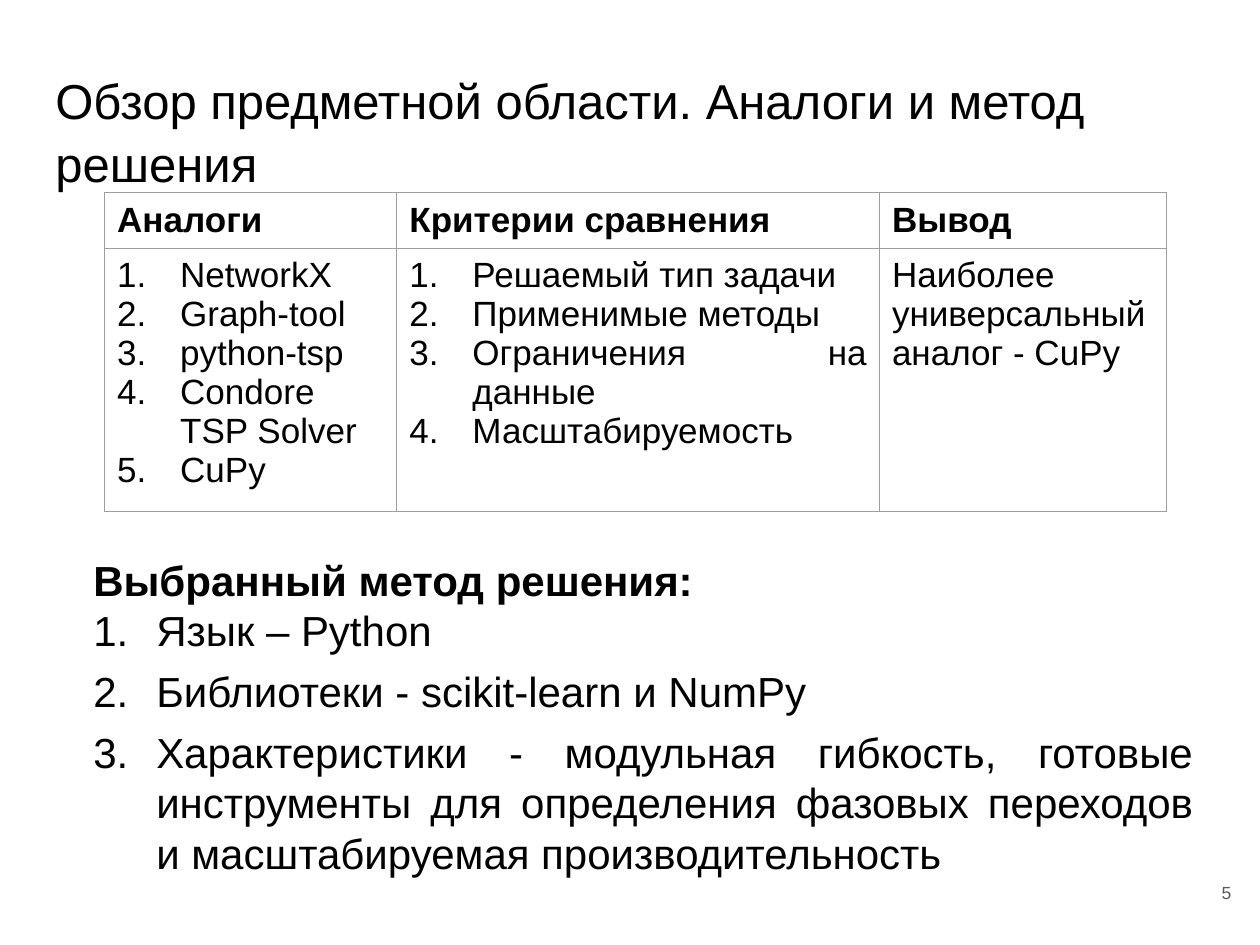
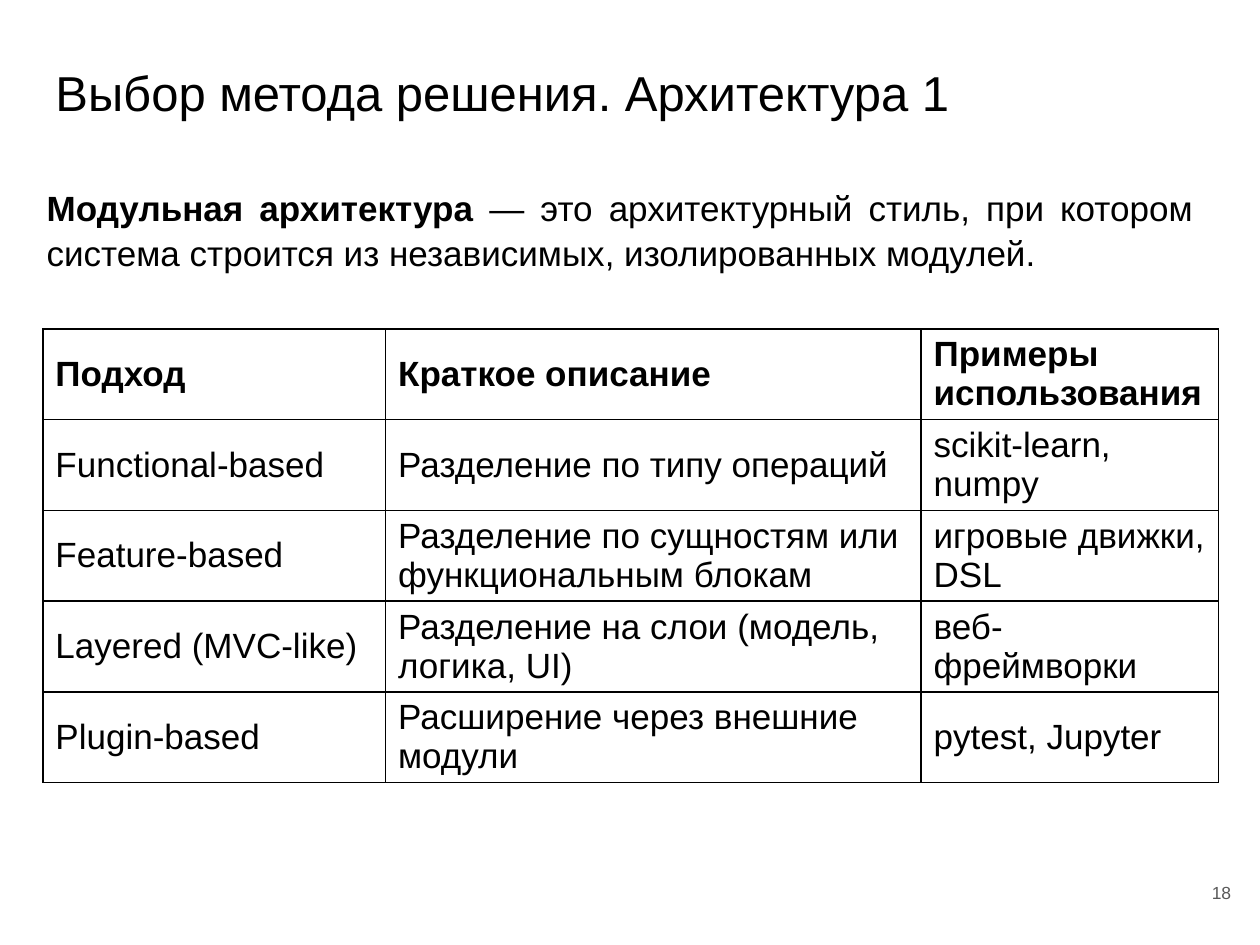
from dataclasses import dataclass

from lxml import etree
from pptx import Presentation
from pptx.dml.color import RGBColor
from pptx.enum.text import MSO_ANCHOR, MSO_AUTO_SIZE, PP_ALIGN
from pptx.oxml.ns import qn
from pptx.util import Inches, Pt

LEFT, RIGHT, JUSTIFY = PP_ALIGN.LEFT, PP_ALIGN.RIGHT, PP_ALIGN.JUSTIFY
TOP, MIDDLE = MSO_ANCHOR.TOP, MSO_ANCHOR.MIDDLE
NO_AUTOFIT = MSO_AUTO_SIZE.NONE


@dataclass(frozen=True)
class Theme:
    font: str = "Arial"
    text: str = "000000"
    muted: str = "595959"
    light_border: str = "9E9E9E"
    title_size: int = 28
    method_size: int = 24
    text_size: int = 20
    number_size: int = 10
    line_spacing: float = 1.07
    list_indent: float = 0.5


THEME = Theme()


def apply_format(target, values):
    for attribute, value in values.items():
        setattr(target, attribute, value)


def set_bullet(paragraph, numbered):
    indent = Inches(THEME.list_indent) if numbered else 0
    properties = paragraph._p.get_or_add_pPr()
    properties.set("marL", str(indent))
    properties.set("indent", str(-indent))
    if numbered:
        color = etree.SubElement(properties, qn("a:buClr"))
        etree.SubElement(color, qn("a:srgbClr"), val=THEME.text)
        etree.SubElement(properties, qn("a:buFont"), typeface=THEME.font)
        etree.SubElement(properties, qn("a:buAutoNum"), type="arabicPeriod")
    else:
        etree.SubElement(properties, qn("a:buNone"))


def write_paragraph(paragraph, runs, size, color=THEME.text, align=LEFT,
                    numbered=False, spacing=1.0, after=0):
    set_bullet(paragraph, numbered)
    apply_format(paragraph, {"alignment": align, "line_spacing": spacing,
                             "space_after": Pt(after)})
    for text, bold in runs:
        run = paragraph.add_run()
        run.text = text
        apply_format(run.font, {"name": THEME.font, "size": Pt(size), "bold": bold})
        run.font.color.rgb = RGBColor.from_string(color)


def next_paragraph(frame, index):
    return frame.add_paragraph() if index else frame.paragraphs[0]


def place(shape, box):
    names = ("left", "top", "width", "height")
    apply_format(shape, dict(zip(names, map(Inches, box))))


def prepare_frame(shape, box, anchor=TOP, vertical_margin=0.05):
    place(shape, box)
    frame = shape.text_frame
    apply_format(frame, {
        "word_wrap": True, "auto_size": NO_AUTOFIT, "vertical_anchor": anchor,
        "margin_left": Inches(0.1), "margin_right": Inches(0.1),
        "margin_top": Inches(vertical_margin),
        "margin_bottom": Inches(vertical_margin),
    })
    return frame


def start_slide(deck, title, title_box, number):
    slide = deck.slides.add_slide(deck.slide_layouts[1])
    heading = prepare_frame(slide.shapes.title, title_box, vertical_margin=0.1)
    write_paragraph(heading.paragraphs[0], [(title, False)], THEME.title_size,
                    spacing=THEME.line_spacing)
    number_box = slide.shapes.add_textbox(0, 0, 0, 0)
    page = prepare_frame(number_box, (9.27, 6.8, 0.6, 0.57), MIDDLE, 0.1)
    write_paragraph(page.paragraphs[0], [(number, False)], THEME.number_size,
                    THEME.muted, RIGHT)
    return slide


def set_borders(cell, color, width):
    properties = cell._tc.get_or_add_tcPr()
    for position, side in enumerate(("lnL", "lnR", "lnT", "lnB")):
        line = etree.Element(qn(f"a:{side}"), w=str(Pt(width)))
        fill = etree.SubElement(line, qn("a:solidFill"))
        etree.SubElement(fill, qn("a:srgbClr"), val=color)
        properties.insert(position, line)


def fill_cell(cell, content, header, anchor, margin, body_align):
    items = content if isinstance(content, list) else [content]
    for index, item in enumerate(items):
        write_paragraph(next_paragraph(cell.text_frame, index), [(item, header)],
                        THEME.text_size, align=LEFT if header else body_align,
                        numbered=isinstance(content, list))
    apply_format(cell, {"vertical_anchor": anchor, "margin_top": Inches(margin),
                        "margin_bottom": Inches(margin),
                        "margin_left": Inches(0.1), "margin_right": Inches(0.1)})
    cell.fill.background()


def add_grid(slide, origin, widths, heights, rows, border, anchor=TOP,
             margin=0.05, body_align=LEFT):
    box = (*origin, sum(widths), sum(heights))
    table = slide.shapes.add_table(len(rows), len(widths), *map(Inches, box)).table
    apply_format(table, {"first_row": False, "horz_banding": False})
    for column, width in zip(table.columns, widths):
        column.width = Inches(width)
    for row_index, (height, contents) in enumerate(zip(heights, rows)):
        table.rows[row_index].height = Inches(height)
        for cell, content in zip(table.rows[row_index].cells, contents):
            fill_cell(cell, content, row_index == 0, anchor, margin, body_align)
            set_borders(cell, *border)


def add_chosen_method(slide, box, heading, points):
    frame = prepare_frame(slide.placeholders[1], box)
    write_paragraph(frame.paragraphs[0], [(heading, True)], THEME.method_size,
                    align=JUSTIFY, spacing=THEME.line_spacing)
    for point in points:
        paragraph = frame.add_paragraph()
        write_paragraph(paragraph, [(point, False)], THEME.method_size,
                        align=JUSTIFY, numbered=True, after=6)
        paragraph.space_before = Pt(0)


def add_definition(slide, box, term, meaning):
    frame = prepare_frame(slide.placeholders[1], box)
    write_paragraph(frame.paragraphs[0], [(term, True), (meaning, False)],
                    THEME.text_size, align=JUSTIFY, spacing=THEME.line_spacing)


def build_analogues_slide(deck):
    slide = start_slide(deck, "Обзор предметной области. Аналоги и метод решения",
                        (0.34, 0.43, 9.32, 0.91), "5")
    add_chosen_method(slide, (0.64, 4.32, 8.93, 2.59), "Выбранный метод решения:", [
        "Язык – Python",
        "Библиотеки - scikit-learn и NumPy",
        "Характеристики - модульная гибкость, готовые инструменты для определения "
        "фазовых переходов и масштабируемая производительность",
    ])
    analogues = ["NetworkX", "Graph-tool", "python-tsp", "Condore TSP Solver", "CuPy"]
    criteria = ["Решаемый тип задачи", "Применимые методы",
                "Ограничения на данные", "Масштабируемость"]
    add_grid(slide, (0.83, 1.53), (2.32, 3.83, 2.28), (0.44, 2.09), [
        ("Аналоги", "Критерии сравнения", "Вывод"),
        (analogues, criteria, "Наиболее универсальный аналог - CuPy"),
    ], (THEME.light_border, 0.75), margin=0.06, body_align=JUSTIFY)


def build_architecture_slide(deck):
    slide = start_slide(deck, "Выбор метода решения. Архитектура 1",
                        (0.34, 0.36, 9.32, 0.7), "18")
    rows = [
        ("Подход", "Краткое описание", "Примеры использования"),
        ("Functional-based", "Разделение по типу операций", "scikit-learn, numpy"),
        ("Feature-based", "Разделение по сущностям или функциональным блокам",
         "игровые движки, DSL"),
        ("Layered (MVC-like)", "Разделение на слои (модель, логика, UI)",
         "веб-фреймворки"),
        ("Plugin-based", "Расширение через внешние модули", "pytest, Jupyter"),
    ]
    add_grid(slide, (0.34, 2.61), (2.72, 4.25, 2.36), [0.72] * len(rows), rows,
             (THEME.text, 1), MIDDLE)
    add_definition(slide, (0.27, 1.41, 9.3, 0.77), "Модульная архитектура ",
                   "— это архитектурный стиль, при котором система строится из "
                   "независимых, изолированных модулей.")


def main():
    deck = Presentation()
    apply_format(deck, {"slide_width": Inches(10), "slide_height": Inches(7.5)})
    build_analogues_slide(deck)
    build_architecture_slide(deck)
    deck.save("out.pptx")


if __name__ == "__main__":
    main()
